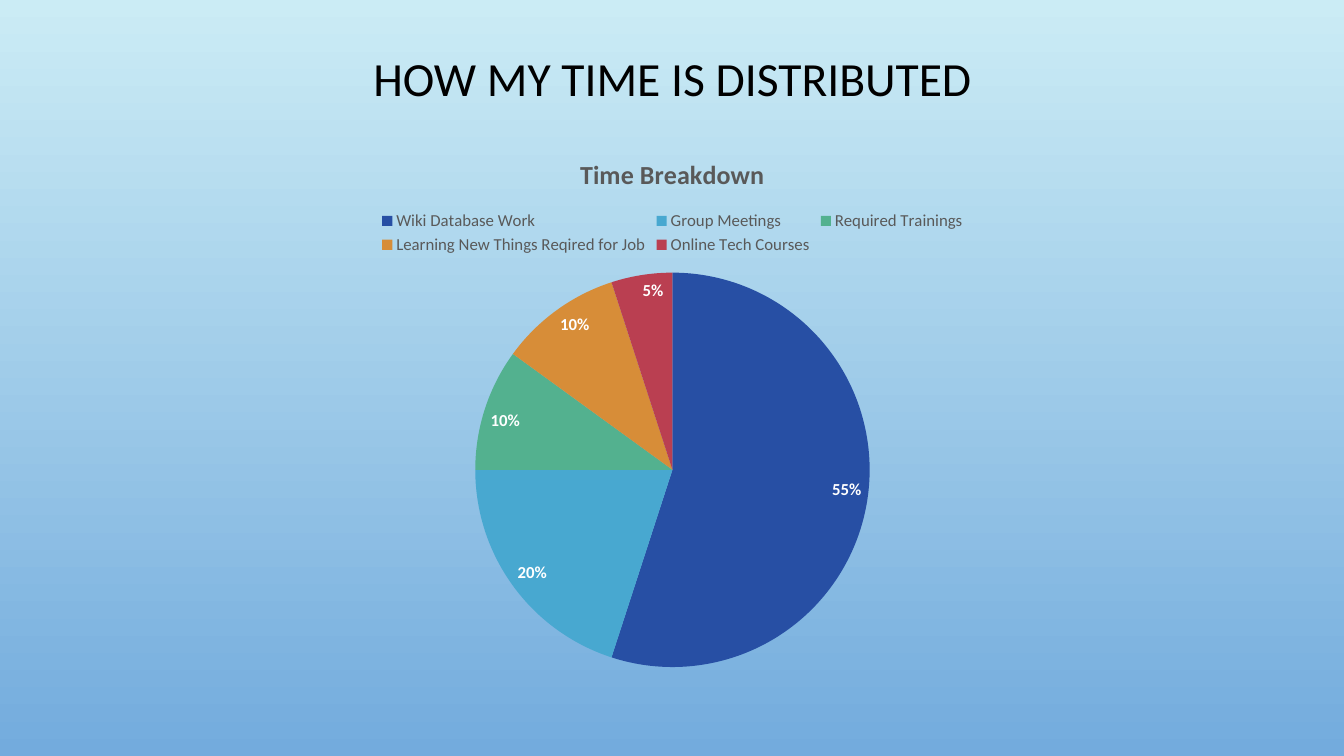
import pptx
import pptx.chart.data
import pptx.dml.color
import pptx.enum.chart
import pptx.enum.text
import pptx.util

RGBColor = pptx.dml.color.RGBColor
SKY_TOP = RGBColor(0xCB, 0xEC, 0xF5)
SKY_BOTTOM = RGBColor(0x73, 0xAB, 0xDD)
BLACK = RGBColor(0x00, 0x00, 0x00)
WHITE = RGBColor(0xFF, 0xFF, 0xFF)
GRAY = RGBColor(0x59, 0x59, 0x59)
NAVY = RGBColor(0x27, 0x4F, 0xA4)
CYAN = RGBColor(0x48, 0xA8, 0xD0)
GREEN = RGBColor(0x53, 0xB1, 0x8F)
ORANGE = RGBColor(0xD7, 0x8D, 0x38)
RED = RGBColor(0xBA, 0x3F, 0x51)

SLIDE_WIDTH, SLIDE_HEIGHT = 1344, 756
EMU_PER_PX = 12192000 / SLIDE_WIDTH
FONT = "Calibri"

ACTIVITIES = [
    ("Wiki Database Work", 55, NAVY),
    ("Group Meetings", 20, CYAN),
    ("Required Trainings", 10, GREEN),
    ("Learning New Things Reqired for Job", 10, ORANGE),
    ("Online Tech Courses", 5, RED),
]


def px(length):
    """Turn pixels into EMU."""
    return pptx.util.Emu(round(length * EMU_PER_PX))


def style_font(font, size, color, bold=False):
    """Apply the slide's typeface with a size, colour and weight."""
    font.name = FONT
    font.size = pptx.util.Pt(size)
    font.color.rgb = color
    font.bold = bold


def paint_background(slide):
    """Fill the slide with a gradient running from top to bottom."""
    fill = slide.background.fill
    fill.gradient()
    fill.gradient_angle = 270
    for stop, color in zip(fill.gradient_stops, (SKY_TOP, SKY_BOTTOM)):
        stop.color.rgb = color


def add_heading(slide, left, top, width, height):
    """Place the centred heading in its box."""
    heading = slide.shapes.add_textbox(px(left), px(top), px(width), px(height))
    frame = heading.text_frame
    frame.word_wrap = True
    frame.vertical_anchor = pptx.enum.text.MSO_ANCHOR.MIDDLE
    paragraph = frame.paragraphs[0]
    paragraph.text = "HOW MY TIME IS DISTRIBUTED"
    paragraph.alignment = pptx.enum.text.PP_ALIGN.CENTER
    paragraph.line_spacing = 0.9
    style_font(paragraph.font, 34, BLACK)


def add_time_breakdown(slide, left, top, width, height):
    """Place the pie of activities with its title, legend and labels."""
    breakdown = pptx.chart.data.CategoryChartData()
    breakdown.categories = [name for name, share, color in ACTIVITIES]
    breakdown.add_series("Time Breakdown", [share for name, share, color in ACTIVITIES])
    pie = slide.shapes.add_chart(
        pptx.enum.chart.XL_CHART_TYPE.PIE,
        px(left), px(top), px(width), px(height), breakdown,
    ).chart
    style_font(pie.font, 10, BLACK)

    pie.has_title = True
    pie.chart_title.include_in_layout = False
    caption = pie.chart_title.text_frame.paragraphs[0]
    caption.text = "Time Breakdown"
    style_font(caption.font, 18.6, GRAY, bold=True)

    pie.has_legend = True
    pie.legend.position = pptx.enum.chart.XL_LEGEND_POSITION.TOP
    pie.legend.include_in_layout = False
    style_font(pie.legend.font, 12, GRAY)

    plot = pie.plots[0]
    plot.vary_by_categories = True
    for index, (name, share, color) in enumerate(ACTIVITIES):
        slice_fill = plot.series[0].points[index].format.fill
        slice_fill.solid()
        slice_fill.fore_color.rgb = color

    labels = plot.series[0].data_labels
    labels.show_percentage = True
    labels.show_value = False
    labels.number_format = "0%"
    labels.number_format_is_linked = False
    labels.position = pptx.enum.chart.XL_LABEL_POSITION.INSIDE_END
    style_font(labels.font, 12, WHITE, bold=True)


def main():
    """Build the slide and save it."""
    deck = pptx.Presentation()
    deck.slide_width, deck.slide_height = px(SLIDE_WIDTH), px(SLIDE_HEIGHT)
    slide = deck.slides.add_slide(deck.slide_layouts[6])
    paint_background(slide)
    add_heading(slide, 93, 40, 1159, 82)
    add_time_breakdown(slide, 93, 135, 1159, 546)
    deck.save("out.pptx")


if __name__ == "__main__":
    main()
